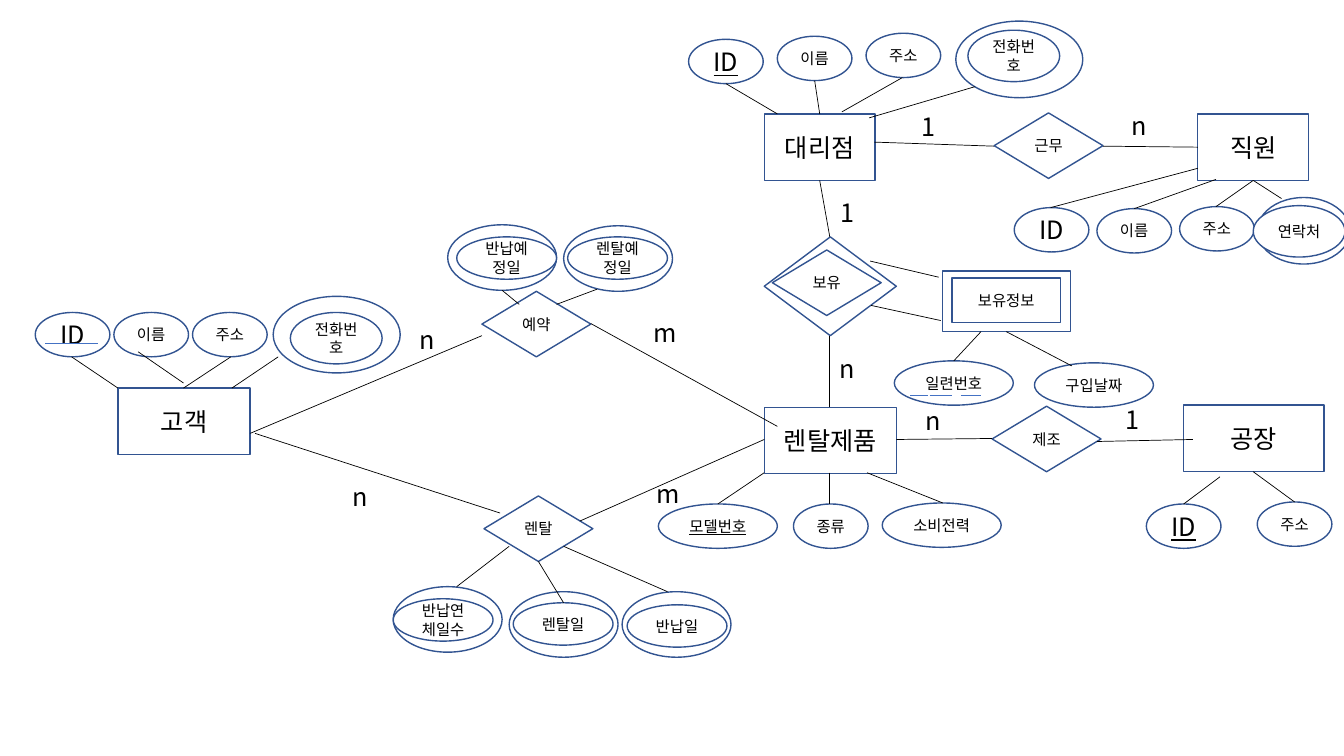
from dataclasses import dataclass

from lxml import etree
from pptx import Presentation
from pptx.dml.color import RGBColor
from pptx.enum.shapes import MSO_CONNECTOR, MSO_SHAPE
from pptx.enum.text import MSO_ANCHOR, MSO_AUTO_SIZE, PP_ALIGN
from pptx.oxml.ns import qn
from pptx.util import Cm, Pt

FONT = "Noto Sans CJK KR"
WHITE, BLACK, OUTLINE, ACCENT = "FFFFFF", "000000", "325491", "4472C4"
SMALL, LARGE = 11, 18
DIAMOND = (1.08, 0.65)
ENTITY = (1.31, 0.66)
PHONE_RINGS = ((1.26, 0.76), (0.91, 0.51))
DATE_RINGS = ((1.08, 0.65), (0.99, 0.42))


def units(inches):
    """Turn a length on the inch grid into a Cm length."""
    return Cm(inches * 2.54)


def color(value):
    """Turn a hex string into a colour."""
    return RGBColor.from_string(value)


def write(frame, text, size, underline=False):
    """Put one formatted run into a text frame and return its paragraph."""
    frame.word_wrap = True
    paragraph = frame.paragraphs[0]
    run = paragraph.add_run()
    run.text = text
    font = run.font
    font.name, font.size = FONT, Pt(size)
    font.color.rgb = color(BLACK)
    if underline:
        font.underline = True
    etree.SubElement(run._r.get_or_add_rPr(), qn("a:ea")).set("typeface", FONT)
    return paragraph


@dataclass
class Region:
    """Part of the diagram whose coordinates start at its left top corner."""
    shapes: object
    left: float
    top: float

    def node(self, kind, x, y, size, text="", points=SMALL, underline=False):
        """Draw an outlined shape with optional centred text."""
        shape = self.shapes.add_shape(kind, units(self.left + x), units(self.top + y),
                                      *map(units, size))
        shape.shadow.inherit = False
        shape.fill.solid()
        shape.fill.fore_color.rgb = color(WHITE)
        shape.line.color.rgb = color(OUTLINE)
        shape.line.width = Pt(1)
        if text:
            shape.text_frame.vertical_anchor = MSO_ANCHOR.MIDDLE
            write(shape.text_frame, text, points, underline).alignment = PP_ALIGN.CENTER

    def entity(self, x, y, text, size=ENTITY):
        """Draw an entity rectangle."""
        self.node(MSO_SHAPE.RECTANGLE, x, y, size, text, LARGE)

    def relation(self, x, y, text):
        """Draw a relationship diamond."""
        self.node(MSO_SHAPE.DIAMOND, x, y, DIAMOND, text)

    def attribute(self, x, y, text, key=False):
        """Draw an attribute oval, wider for long names."""
        size = (1.18 if len(text) > 3 else 0.74, 0.44)
        points = LARGE if text == "ID" else SMALL
        self.node(MSO_SHAPE.OVAL, x, y, size, text, points, key)

    def double(self, x, y, shift, sizes, text, kind=MSO_SHAPE.OVAL):
        """Draw a double outline with the text in the inner shape."""
        outer, inner = sizes
        self.node(kind, x, y, outer)
        self.node(kind, x + shift[0], y + shift[1], inner, text)

    def lines(self, *ends, stroke=BLACK):
        """Draw thin straight lines, each given as x1, y1, x2, y2."""
        for x1, y1, x2, y2 in ends:
            line = self.shapes.add_connector(
                MSO_CONNECTOR.STRAIGHT, units(self.left + x1), units(self.top + y1),
                units(self.left + x2), units(self.top + y2))
            line.line.color.rgb = color(stroke)
            line.line.width = Pt(0.5)
            etree.SubElement(line._element.spPr, qn("a:effectLst"))

    def label(self, x, y, text):
        """Write a cardinality beside a line."""
        box = self.shapes.add_textbox(units(self.left + x), units(self.top + y),
                                      units(0.45), units(0.4))
        write(box.text_frame, text, LARGE)
        box.text_frame.auto_size = MSO_AUTO_SIZE.SHAPE_TO_FIT_TEXT


def customer(area):
    """Draw the customer entity and its attributes."""
    area.entity(0.82, 0.91, "고객")
    for i, name in enumerate(("ID", "이름", "주소")):
        area.attribute(0.78 * i, 0.16, name)
    area.double(2.36, 0, (0.17, 0.16), PHONE_RINGS, "전화번호")
    area.lines((0.1, 0.47, 0.62, 0.47), stroke=ACCENT)
    area.lines((0.36, 0.6, 0.82, 0.91), (1.02, 0.55, 1.47, 0.86),
               (1.47, 0.91, 1.94, 0.6), (1.95, 0.91, 2.41, 0.6))


def reservation(area):
    """Draw the reservation relationship and its dates."""
    area.relation(0.34, 0.66, "예약")
    area.double(0, 0, (0.09, 0.12), DATE_RINGS, "반납예정일")
    area.double(1.15, 0.01, (0.04, 0.11), DATE_RINGS, "렌탈예정일")
    area.lines((0.54, 0.65, 0.71, 0.79), (1.08, 0.79, 1.48, 0.64))


def rental(area):
    """Draw the rental relationship and its dates."""
    area.relation(0.9, 0, "렌탈")
    area.double(0, 0.9, (0, 0.12), DATE_RINGS, "반납연체일수")
    area.double(1.15, 0.95, (0.04, 0.11), DATE_RINGS, "렌탈일")
    area.double(2.27, 0.95, (0.05, 0.13), DATE_RINGS, "반납일")
    area.lines((1.15, 0.5, 0.63, 0.9), (1.44, 0.65, 1.69, 1.06),
               (1.69, 0.5, 2.72, 0.95))


def product(area):
    """Draw the rental product entity and its attributes."""
    area.entity(1.05, 0, "렌탈제품")
    area.attribute(0, 0.96, "모델번호", key=True)
    area.attribute(1.34, 0.96, "종류")
    area.attribute(2.22, 0.95, "소비전력")
    area.lines((0.59, 0.96, 1.05, 0.65), (1.7, 0.65, 1.7, 0.96),
               (2.07, 0.65, 2.82, 0.95))


def factory(area):
    """Draw the factory entity and its attributes."""
    area.entity(0.37, 0, "공장", (1.39, 0.66))
    area.attribute(0, 0.98, "ID", key=True)
    area.attribute(1.1, 0.96, "주소")
    area.lines((0.37, 0.98, 0.73, 0.71), (1.06, 0.66, 1.47, 0.96))


def branch(area):
    """Draw the branch entity and its attributes."""
    area.entity(0.75, 0.92, "대리점", (1.1, 0.66))
    for i, name in enumerate(("ID", "이름", "주소")):
        area.attribute(0.88 * i, 0.18 - 0.03 * i, name, key=name == "ID")
    area.double(2.65, 0, (0.12, 0.09), PHONE_RINGS, "전화번호")
    area.lines((0.37, 0.62, 0.88, 0.92), (1.25, 0.59, 1.3, 0.92),
               (2.12, 0.56, 1.52, 0.9), (2.84, 0.65, 1.79, 0.96))


def staff(area):
    """Draw the staff entity and its attributes."""
    area.entity(1.82, 0, "직원", (1.1, 0.66))
    for i, (name, y) in enumerate((("ID", 0.93), ("이름", 0.94), ("주소", 0.92))):
        area.attribute(0.82 * i, y, name)
    area.double(2.41, 0.83, (-0.04, 0.08), ((0.92, 0.66), (0.91, 0.51)), "연락처")
    area.lines((1.82, 0.54, 0.36, 0.93), (2, 0.65, 1.19, 0.94),
               (2.37, 0.66, 2, 0.92), (2.37, 0.66, 2.65, 0.84))


def holding(area):
    """Draw the holding relationship and its weak entity."""
    area.double(0, 0, (0.08, 0.13), ((1.31, 0.98), DIAMOND), "보유", MSO_SHAPE.DIAMOND)
    area.double(1.77, 0.34, (0.09, 0.07), ((1.27, 0.6), (1.08, 0.44)), "보유정보",
                MSO_SHAPE.RECTANGLE)
    area.attribute(2.68, 1.25, "구입날짜")
    area.attribute(1.29, 1.23, "일련번호")
    dashes = ((1.45, 1.62), (1.64, 1.86), (1.95, 2.15))
    area.lines(*((start, 1.57, end, 1.57) for start, end in dashes), stroke=ACCENT)
    area.lines((2.15, 0.94, 1.88, 1.23), (2.4, 0.94, 3.05, 1.28),
               (1.05, 0.24, 1.73, 0.4), (1.06, 0.68, 1.75, 0.83))


def links(area):
    """Join the entities and write the cardinality of each line."""
    area.relation(9.84, 4.03, "제조")
    area.relation(9.86, 1.12, "근무")
    for ends, place, text in (
            ((2.48, 4.3, 4.78, 3.33), (4.06, 3.17), "n"),
            ((5.86, 3.21, 7.71, 4.23), (6.38, 3.1), "m"),
            ((2.53, 4.3, 4.96, 5.09), (3.4, 4.73), "n"),
            ((5.75, 5.17, 7.58, 4.36), (6.41, 4.7), "m"),
            ((8.89, 4.36, 9.84, 4.35), (9.08, 3.97), "n"),
            ((10.88, 4.38, 11.83, 4.36), (11.06, 3.96), "1"),
            ((8.23, 3.33, 8.23, 4.04), (8.23, 3.46), "n"),
            ((8.13, 1.79, 8.23, 2.35), (8.24, 1.91), "1"),
            ((9.86, 1.45, 8.67, 1.41), (9.04, 1.06), "1"),
            ((11.88, 1.46, 10.94, 1.45), (11.12, 1.05), "n")):
        area.lines(ends)
        area.label(*place, text)


deck = Presentation()
deck.slide_width, deck.slide_height = units(13.33), units(7.5)
diagram = deck.slides.add_slide(deck.slide_layouts[6]).shapes
for draw, left, top in ((customer, 0.35, 2.94), (reservation, 4.44, 2.23),
                        (rental, 3.9, 4.92), (product, 6.53, 4.04),
                        (factory, 11.37, 4.02), (holding, 7.58, 2.35),
                        (branch, 6.83, 0.21), (staff, 10.06, 1.13), (links, 0, 0)):
    draw(Region(diagram, left, top))
deck.save("out.pptx")
